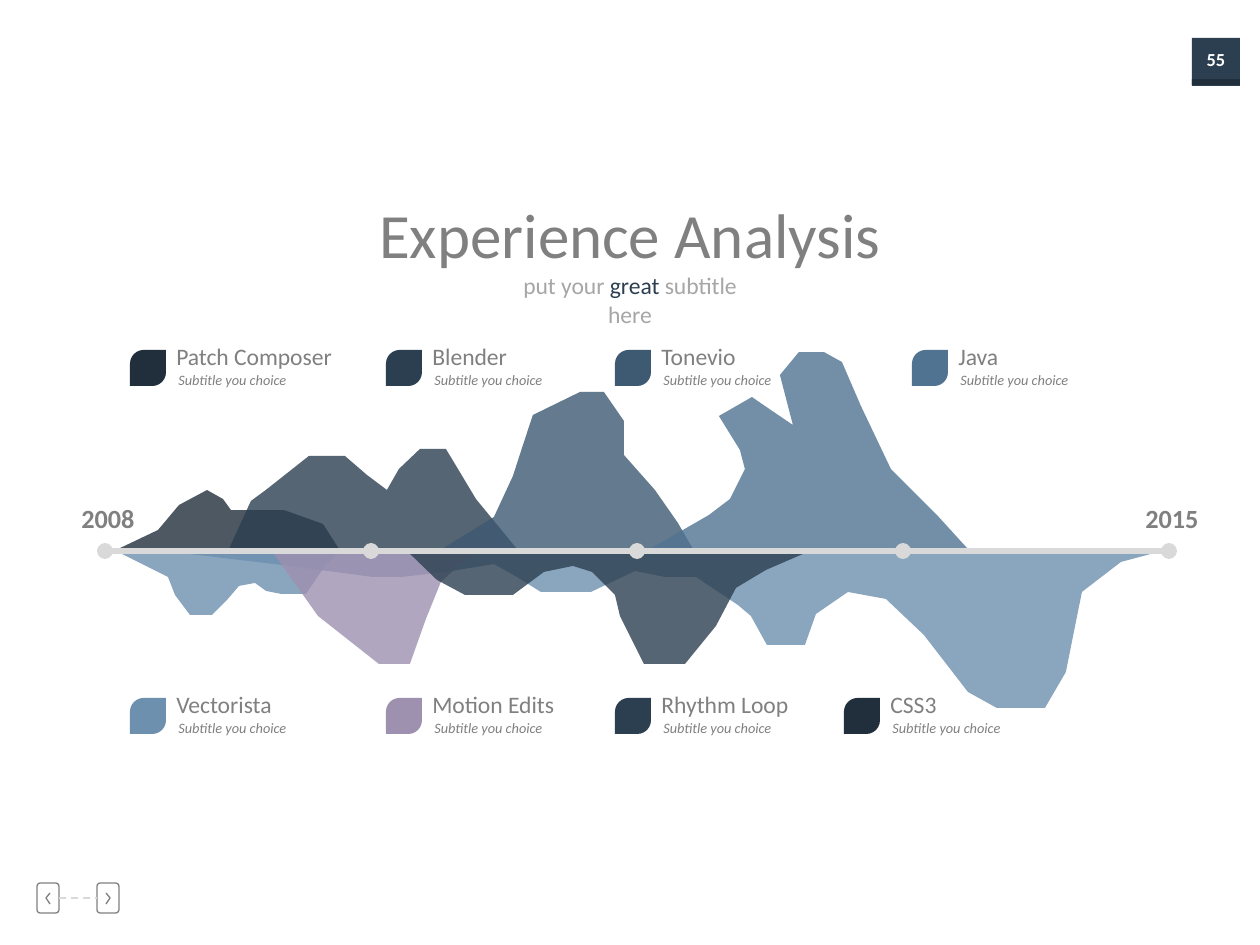
"""Builds the Experience Analysis timeline slide with its legends."""
from typing import NamedTuple

from lxml import etree
from pptx import Presentation
from pptx import util as u
from pptx.dml.color import RGBColor
from pptx.enum import dml, shapes, text
from pptx.oxml.ns import qn

EMU_PER_PX = 914400 / 126
COLORS = {
    "ink": "212F3C", "navy": "2C3F50", "slate": "3E5972", "steel": "507392",
    "sky": "6D90AF", "mauve": "9E90AF", "gray": "808080", "silver": "A6A6A6",
    "rail": "D9D9D9", "white": "FFFFFF",
}
FONT = "Calibri"
AXIS_Y = 551
LEFT, CENTER = text.PP_ALIGN.LEFT, text.PP_ALIGN.CENTER


class Box(NamedTuple):
    left: int
    top: int
    width: int
    height: int


class Run(NamedTuple):
    words: str
    size: float
    color: str = "gray"
    bold: bool = False
    italic: bool = False


class Wave(NamedTuple):
    color: str
    points: list[tuple[int, int]]


class Legend(NamedTuple):
    left: int
    top: int
    name: str
    color: str
    width: int


WAVES = [
    Wave("sky", [(165, 551), (290, 566), (373, 577), (402, 577), (452, 571), (494, 564),
                 (517, 577), (541, 592), (591, 592), (635, 571), (665, 577), (696, 577),
                 (738, 605), (751, 616), (767, 645), (805, 645), (816, 614), (848, 592),
                 (886, 599), (924, 635), (968, 692), (997, 708), (1045, 708), (1066, 672),
                 (1082, 592), (1121, 562), (1162, 551)]),
    Wave("sky", [(118, 552), (168, 577), (175, 595), (190, 615), (212, 615), (227, 600),
                 (239, 586), (255, 583), (266, 591), (281, 594), (306, 594), (325, 566),
                 (340, 551)]),
    Wave("mauve", [(272, 551), (318, 616), (379, 664), (410, 664), (426, 619), (441, 582),
                   (475, 551)]),
    Wave("navy", [(407, 551), (437, 580), (465, 595), (513, 595), (544, 572), (573, 566),
                  (592, 572), (615, 595), (620, 616), (644, 664), (685, 664), (716, 626),
                  (736, 588), (766, 570), (810, 551)]),
    Wave("ink", [(118, 549), (158, 530), (179, 505), (207, 490), (223, 499), (231, 510),
                 (284, 510), (323, 524), (339, 549)]),
    Wave("navy", [(229, 549), (251, 501), (266, 490), (309, 456), (345, 456), (367, 475),
                  (387, 490), (399, 469), (420, 449), (446, 449), (476, 499), (517, 549)]),
    Wave("slate", [(442, 549), (494, 517), (513, 476), (524, 442), (533, 415), (580, 392),
                   (604, 392), (624, 421), (624, 455), (655, 490), (678, 523), (693, 549)]),
    Wave("steel", [(650, 549), (709, 515), (730, 499), (745, 469), (740, 450), (719, 416),
                   (752, 397), (765, 406), (793, 425), (780, 375), (799, 352), (824, 352),
                   (842, 362), (861, 406), (891, 469), (937, 515), (968, 549)]),
]
LEGENDS = [
    Legend(130, 350, "Patch Composer", "ink", 200),
    Legend(386, 350, "Blender", "navy", 110),
    Legend(615, 350, "Tonevio", "slate", 110),
    Legend(912, 350, "Java", "steel", 75),
    Legend(130, 698, "Vectorista", "sky", 140),
    Legend(386, 698, "Motion Edits", "mauve", 160),
    Legend(615, 698, "Rhythm Loop", "navy", 160),
    Legend(844, 698, "CSS3", "ink", 82),
]


def px(value: float) -> u.Emu:
    """Turn px into EMU."""
    return u.Emu(round(value * EMU_PER_PX))


def rgb(name: str) -> RGBColor:
    """Look up a colour."""
    return RGBColor.from_string(COLORS[name])


def style(shape, fill: str | None = None, line: str | None = None) -> None:
    """Set the fill and outline of a shape without shadow."""
    shape.shadow.inherit = False
    if fill:
        shape.fill.solid()
        shape.fill.fore_color.rgb = rgb(fill)
    else:
        shape.fill.background()
    if line:
        shape.line.color.rgb = rgb(line)
        shape.line.width = u.Pt(0.75)
    else:
        shape.line.fill.background()


def add_shape(slide, kind, box: Box, fill: str | None = None, line: str | None = None):
    """Add a preset shape."""
    shape = slide.shapes.add_shape(kind, *map(px, box))
    style(shape, fill, line)
    return shape


def add_outline(slide, points: list[tuple[int, int]], close: bool = True):
    """Add a shape from straight segments."""
    builder = slide.shapes.build_freeform(*points[0], scale=EMU_PER_PX)
    builder.add_line_segments(points[1:], close=close)
    return builder.convert_to_shape()


def add_wave(slide, wave: Wave) -> None:
    """Add one translucent wave."""
    shape = add_outline(slide, wave.points)
    style(shape, wave.color)
    color = shape.fill._xPr.find(qn("a:solidFill"))[0]
    etree.SubElement(color, qn("a:alpha"), val="80000")


def add_line(slide, start: int, end: int, y: int, width: float):
    """Add a horizontal rail line."""
    line = slide.shapes.add_connector(
        shapes.MSO_CONNECTOR.STRAIGHT, px(start), px(y), px(end), px(y))
    line.line.color.rgb = rgb("rail")
    line.line.width = u.Pt(width)
    etree.SubElement(line._element.spPr, qn("a:effectLst"))
    return line


def write(shape, runs: list[Run], align=LEFT, wrap: bool = True) -> None:
    """Fill a shape with one paragraph of runs."""
    frame = shape.text_frame
    frame.auto_size = text.MSO_AUTO_SIZE.NONE
    frame.word_wrap = wrap
    frame.vertical_anchor = text.MSO_ANCHOR.TOP
    paragraph = frame.paragraphs[0]
    paragraph.alignment = align
    for item in runs:
        run = paragraph.add_run()
        run.text = item.words
        run.font.name = FONT
        run.font.size = u.Pt(item.size)
        run.font.bold = item.bold
        run.font.italic = item.italic
        run.font.color.rgb = rgb(item.color)


def add_text(slide, box: Box, runs: list[Run], align=LEFT, wrap: bool = True) -> None:
    """Add a text box."""
    write(slide.shapes.add_textbox(*map(px, box)), runs, align, wrap)


def add_legend(slide, legend: Legend) -> None:
    """Add a leaf marker with its name and subtitle."""
    left, top = legend.left, legend.top
    leaf = add_shape(slide, shapes.MSO_SHAPE.ROUND_2_DIAG_RECTANGLE,
                     Box(left, top, 36, 36), legend.color)
    leaf.adjustments[0] = 0.38
    add_text(slide, Box(left + 34, top - 14, legend.width, 41), [Run(legend.name, 13.5)])
    add_text(slide, Box(left + 36, top + 15, 142, 30),
             [Run("Subtitle you choice", 8.2, italic=True)])


def add_button(slide, left: int, chevron: list[tuple[int, int]]):
    """Add a navigation button with its chevron."""
    button = add_shape(slide, shapes.MSO_SHAPE.ROUNDED_RECTANGLE,
                       Box(left, 883, 22, 30), line="gray")
    button.adjustments[0] = 0.15
    style(add_outline(slide, chevron, close=False), line="gray")
    return button


def main() -> None:
    """Build and save the slide."""
    presentation = Presentation()
    presentation.slide_width, presentation.slide_height = px(1260), px(945)
    slide = presentation.slides.add_slide(presentation.slide_layouts[5])

    add_shape(slide, shapes.MSO_SHAPE.RECTANGLE, Box(1192, 38, 48, 48), "navy")
    add_shape(slide, shapes.MSO_SHAPE.RECTANGLE, Box(1192, 79, 48, 6), "ink")
    add_text(slide, Box(1192, 42, 48, 35), [Run("55", 10.5, "white", bold=True)], CENTER, False)

    back = add_button(slide, 37, [(50, 893), (46, 898), (50, 904)])
    forward = add_button(slide, 97, [(106, 893), (110, 898), (106, 904)])
    link = add_line(slide, 59, 97, 898, 1)
    link.line.dash_style = dml.MSO_LINE.DASH
    link.begin_connect(back, 3)
    link.end_connect(forward, 1)

    title = slide.shapes.title
    title.left, title.top, title.width, title.height = map(px, Box(366, 189, 528, 89))
    write(title, [Run("Experience Analysis", 36)], CENTER, False)
    add_text(slide, Box(490, 265, 280, 41),
             [Run("put your ", 13.5, "silver"), Run("great", 13.5, "navy"),
              Run(" subtitle here", 13.5, "silver")], CENTER)

    for wave in WAVES:
        add_wave(slide, wave)
    nodes = [105 + 266 * index for index in range(5)]
    for start, end in zip(nodes, nodes[1:]):
        add_line(slide, start, end, AXIS_Y, 3)
    for node in nodes:
        add_shape(slide, shapes.MSO_SHAPE.OVAL, Box(node - 8, AXIS_Y - 8, 16, 16), "rail")
    for left, year in ((69, "2008"), (1133, "2015")):
        add_text(slide, Box(left, 496, 79, 44), [Run(year, 15, bold=True)], wrap=False)
    for legend in LEGENDS:
        add_legend(slide, legend)
    presentation.save("out.pptx")


if __name__ == "__main__":
    main()
